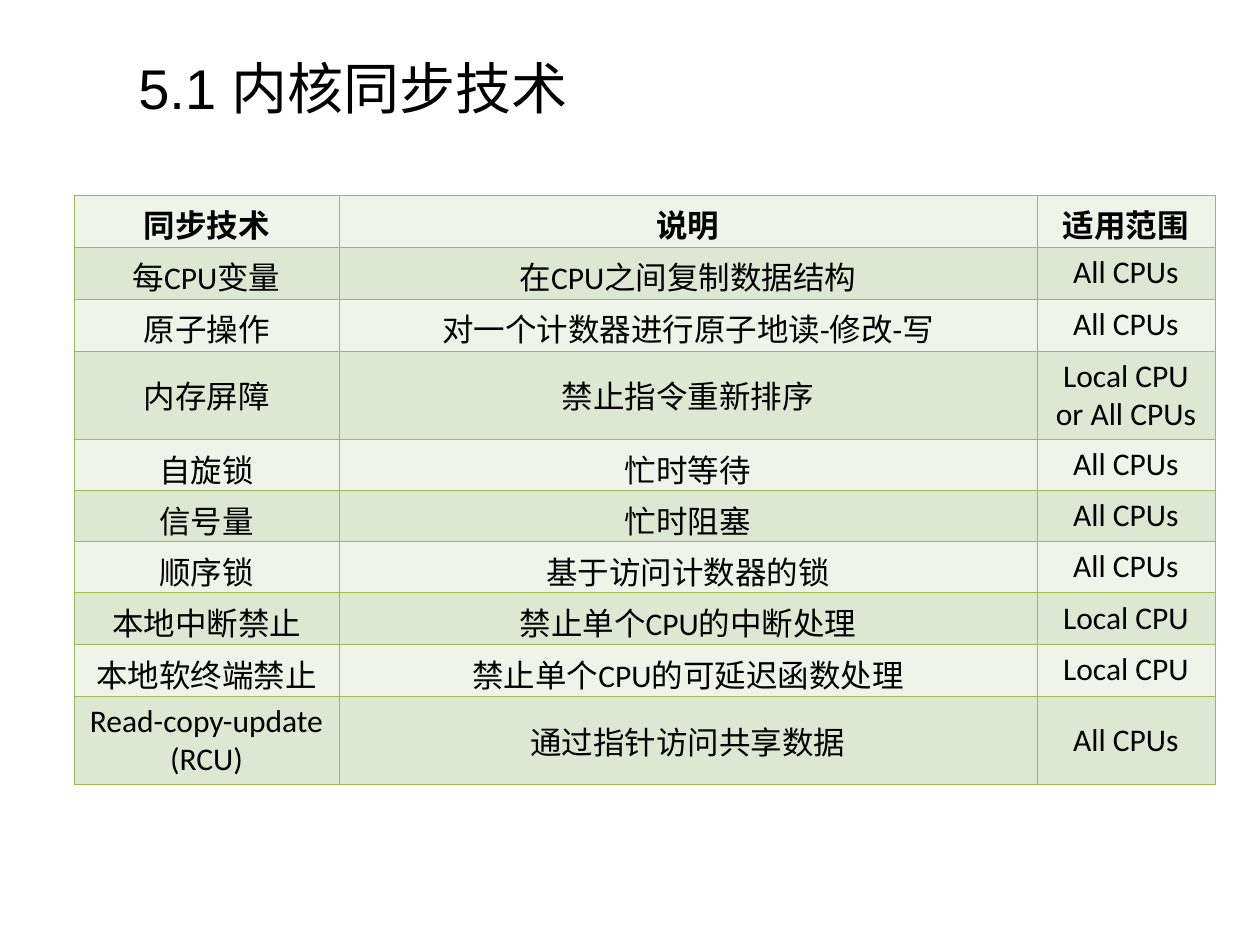
import dataclasses

import pptx
import pptx.dml.color
import pptx.enum.text
import pptx.oxml
import pptx.oxml.ns
import pptx.util

PX = 914400 // 126  # EMU in one px
COLORS = {"text": "000000", "light": "EFF3EA", "dark": "DEE7D1", "border": "9BBB59"}
BORDER_PT = 0.45
COL_WIDTHS = [265, 698, 178]
SINGLE, DOUBLE = 51, 88  # row heights for one and two lines of text


@dataclasses.dataclass
class Technique:
    name: str
    description: str
    scope: str
    height: int = SINGLE
    bold: bool = False


ROWS = [
    Technique("同步技术", "说明", "适用范围", height=52, bold=True),
    Technique("每CPU变量", "在CPU之间复制数据结构", "All CPUs", height=52),
    Technique("原子操作", "对一个计数器进行原子地读-修改-写", "All CPUs", height=52),
    Technique("内存屏障", "禁止指令重新排序", "Local CPU or All CPUs", height=DOUBLE),
    Technique("自旋锁", "忙时等待", "All CPUs"),
    Technique("信号量", "忙时阻塞", "All CPUs"),
    Technique("顺序锁", "基于访问计数器的锁", "All CPUs"),
    Technique("本地中断禁止", "禁止单个CPU的中断处理", "Local CPU", height=52),
    Technique("本地软终端禁止", "禁止单个CPU的可延迟函数处理", "Local CPU", height=52),
    Technique("Read-copy-update (RCU)", "通过指针访问共享数据", "All CPUs", height=DOUBLE),
]


def px(n: int) -> int:
    return n * PX


def rgb(name: str) -> pptx.dml.color.RGBColor:
    return pptx.dml.color.RGBColor.from_string(COLORS[name])


def write(tf, text: str, *, font: str, size: int, bold: bool = False, align=None) -> None:
    p = tf.paragraphs[0]
    p.alignment = align
    r = p.add_run()
    r.text = text
    r.font.name = font
    r.font.size = pptx.util.Pt(size)
    r.font.bold = bold
    r.font.color.rgb = rgb("text")


def set_borders(cell) -> None:
    tc_pr = cell._tc.get_or_add_tcPr()
    width = int(pptx.util.Pt(BORDER_PT))
    # Border elements come before the fill
    for i, side in enumerate(("lnL", "lnR", "lnT", "lnB")):
        tc_pr.insert(i, pptx.oxml.parse_xml(
            f'<a:{side} {pptx.oxml.ns.nsdecls("a")} w="{width}"><a:solidFill>'
            f'<a:srgbClr val="{COLORS["border"]}"/></a:solidFill></a:{side}>'))


def add_title(s, text: str) -> None:
    sp = s.shapes.add_textbox(px(126), px(47), px(469), px(81))
    tf = sp.text_frame
    tf.word_wrap = False
    tf.auto_size = pptx.enum.text.MSO_AUTO_SIZE.SHAPE_TO_FIT_TEXT
    write(tf, text, font="Arial", size=32)


def add_techniques(s, rows: list[Technique]) -> None:
    frame = s.shapes.add_table(len(rows), len(COL_WIDTHS), px(74), px(195),
                               px(sum(COL_WIDTHS)), px(sum(row.height for row in rows)))
    table = frame.table
    for col, width in zip(table.columns, COL_WIDTHS):
        col.width = px(width)
    for i, row in enumerate(rows):
        table.rows[i].height = px(row.height)
        for j, text in enumerate((row.name, row.description, row.scope)):
            cell = table.cell(i, j)
            cell.vertical_anchor = pptx.enum.text.MSO_ANCHOR.MIDDLE
            cell.fill.solid()
            cell.fill.fore_color.rgb = rgb("dark" if i % 2 else "light")
            set_borders(cell)
            write(cell.text_frame, text, font="Calibri", size=18, bold=row.bold,
                  align=pptx.enum.text.PP_ALIGN.CENTER)


def main() -> None:
    prs = pptx.Presentation()
    prs.slide_width, prs.slide_height = pptx.util.Inches(10), pptx.util.Inches(7.5)
    s = prs.slides.add_slide(prs.slide_layouts[6])

    # Heading
    add_title(s, "5.1 内核同步技术")

    # Table of synchronization techniques
    add_techniques(s, ROWS)

    prs.save("out.pptx")


if __name__ == "__main__":
    main()
